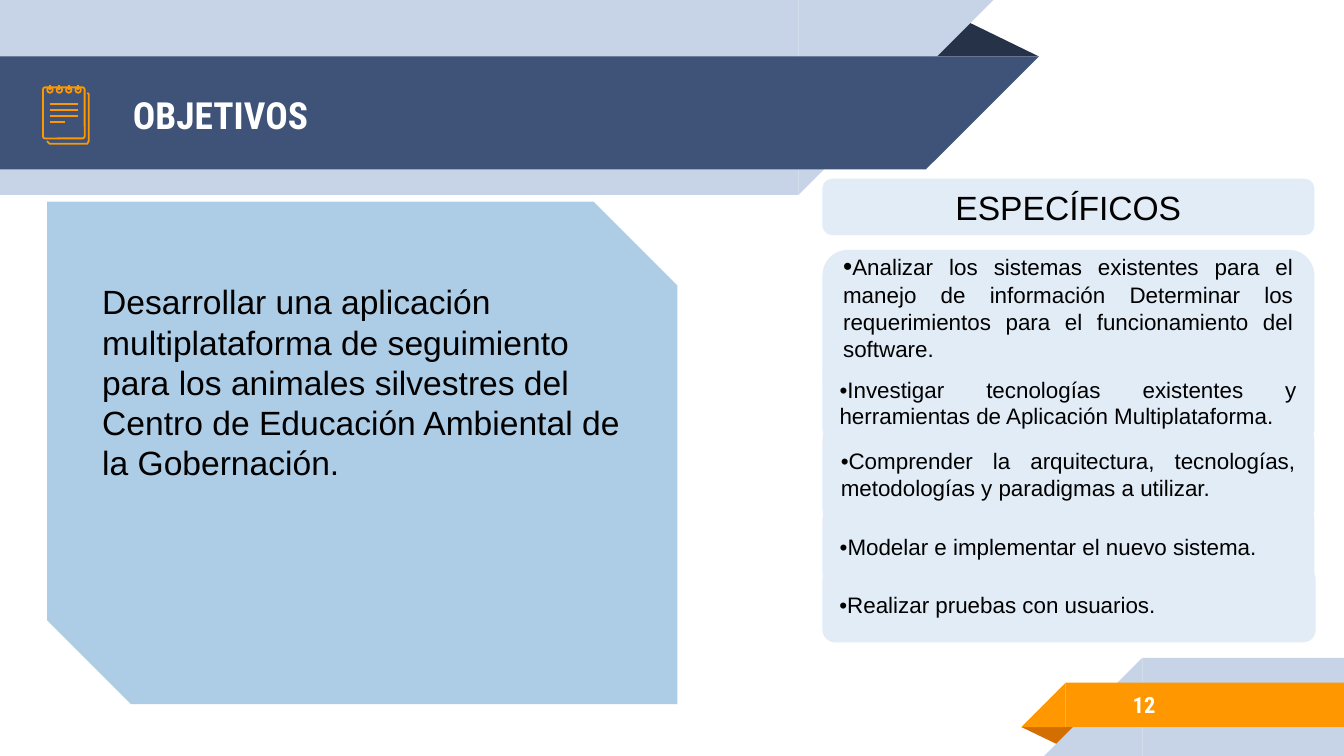
from lxml import etree
from pptx import Presentation
from pptx import util as u
from pptx.dml.color import RGBColor
from pptx.enum import shapes, text
from pptx.oxml.ns import qn

NAVY = RGBColor(0x3F, 0x53, 0x78)
DARK = RGBColor(0x26, 0x32, 0x48)
MIST = RGBColor(0xC7, 0xD3, 0xE6)
ORANGE = RGBColor(0xFF, 0x98, 0x00)
RUST = RGBColor(0xD2, 0x6F, 0x00)
SKY = RGBColor(0xAD, 0xCC, 0xE5)
PALE = RGBColor(0xE2, 0xEC, 0xF6)
WHITE = RGBColor(0xFF, 0xFF, 0xFF)
BLACK = RGBColor(0x00, 0x00, 0x00)

KIND = shapes.MSO_SHAPE
ALIGN = text.PP_ALIGN

deck = Presentation()
deck.slide_width = u.Inches(10)
deck.slide_height = deck.slide_width * 9 // 16
slide = deck.slides.add_slide(deck.slide_layouts[6])

# Grid of 100 columns by 56.25 rows
COL = deck.slide_width / 100
ROW = deck.slide_height / 56.25


def block(kind, left, top, width, height, fill=None, turn=0, flip=False, adj=None):
    """Place a shape on the grid: filled, or outlined in orange when fill is None."""
    shape = slide.shapes.add_shape(kind, round(left * COL), round(top * ROW),
                                   round(width * COL), round(height * ROW))
    shape.shadow.inherit = False
    shape.rotation = turn
    if flip:
        shape._element.spPr.xfrm.set("flipH", "1")
    for i, value in enumerate(adj or []):
        shape.adjustments[i] = value
    if fill is None:
        shape.fill.background()
        shape.line.color.rgb = ORANGE
        shape.line.width = u.Pt(0.96)
    else:
        shape.fill.solid()
        shape.fill.fore_color.rgb = fill
        shape.line.fill.background()
    return shape


def write(shape, words, size, color=BLACK, font="Arial", bold=False, align=ALIGN.LEFT):
    """Fill a shape with one paragraph, centred vertically."""
    frame = shape.text_frame
    frame.word_wrap = True
    frame.vertical_anchor = text.MSO_ANCHOR.MIDDLE
    frame.text = words
    paragraph = frame.paragraphs[0]
    paragraph.alignment = align
    for run in paragraph.runs:
        run.font.size = u.Pt(size)
        run.font.name = font
        run.font.bold = bold
        run.font.color.rgb = color
    return frame


# Header ribbon: each band is a rectangle ending in a slanted tip
block(KIND.ISOSCELES_TRIANGLE, 68.8, 1.4, 8.5, 2.8, DARK, adj=[0.324])
for top, length, height, color in [(0, 59.4, 14.5, MIST), (4.2, 68.9, 8.4, NAVY)]:
    block(KIND.RECTANGLE, 0, top, length, height, color, turn=180, flip=True)
    block(KIND.RIGHT_TRIANGLE, length, top, height, height, color, turn=180, flip=True)

# Footer ribbon
block(KIND.ISOSCELES_TRIANGLE, 76, 54.1, 4.3, 1.4, RUST, turn=180, adj=[0.324])
for left, top, height, color in [(85, 48.95, 7.3, MIST), (79.3, 50.8, 3.3, ORANGE)]:
    block(KIND.RECTANGLE, left, top, 100 - left, height, color, flip=True)
    block(KIND.RIGHT_TRIANGLE, left - height, top, height, height, color, flip=True)

# Title and page number
for left, top, width, height, words, size in [
    (8.9, 4.3, 57.5, 8.4, "OBJETIVOS", 20),
    (83.3, 50.7, 16.3, 3.5, "12", 12),
]:
    box = slide.shapes.add_textbox(round(left * COL), round(top * ROW),
                                   round(width * COL), round(height * ROW))
    frame = write(box, words, size, WHITE, "Roboto Condensed", bold=True)
    frame.margin_top = frame.margin_bottom = round(ROW)

# Notepad icon: rear page edge, front page, rings, then pins and written lines
edge = [(round(x * COL), round(y * ROW)) for x, y in
        [(3.5, 10.5), (3.7, 10.7), (6.5, 10.7), (6.6, 10.5), (6.6, 7), (6.5, 6.9)]]
outline = slide.shapes.build_freeform(*edge[0])
outline.add_line_segments(edge[1:], close=False)
rear_page = outline.convert_to_shape()
rear_page.shadow.inherit = False
rear_page.fill.background()
rear_page.line.color.rgb = ORANGE
rear_page.line.width = u.Pt(0.96)

block(KIND.ROUNDED_RECTANGLE, 3.2, 6.5, 3.1, 3.8, adj=[0.05])
ring_centers = [3.72 + 0.7 * i for i in range(4)]
for x in ring_centers:
    block(KIND.OVAL, x - 0.2, 6.5, 0.4, 0.4)

pins = [(x, 6.3, x, 6.7) for x in ring_centers]
written = [(3.7, 7.75 + 0.45 * i, end, 7.75 + 0.45 * i)
           for i, end in enumerate([5.8, 5.8, 5.8, 4.8])]
for x1, y1, x2, y2 in pins + written:
    stroke = slide.shapes.add_connector(
        shapes.MSO_CONNECTOR.STRAIGHT, round(x1 * COL), round(y1 * ROW),
        round(x2 * COL), round(y2 * ROW))
    stroke.line.color.rgb = ORANGE
    stroke.line.width = u.Pt(0.96)
    etree.SubElement(stroke._element.spPr, qn("a:effectLst"))

# General objective
general = block(KIND.SNIP_2_DIAG_RECTANGLE, 3.5, 15, 46.9, 37.4, SKY, adj=[0, 0.167])
general_frame = write(
    general,
    "Desarrollar una aplicación multiplataforma de seguimiento para los animales "
    "silvestres del Centro de Educación Ambiental de la Gobernación.", 18)
general_frame.vertical_anchor = text.MSO_ANCHOR.TOP
general_frame.margin_top = round(2.8 * ROW)

# Specific objectives
heading = block(KIND.ROUNDED_RECTANGLE, 61.2, 13.3, 36.6, 4.2, PALE, adj=[0.167])
write(heading, "ESPECÍFICOS", 18, align=ALIGN.CENTER)

goals = [
    (37.6, 36.6, 6.1, ALIGN.LEFT, "•Modelar e implementar el nuevo sistema."),
    (31.4, 36.6, 7.8, ALIGN.JUSTIFY, "•Comprender la arquitectura, tecnologías, "
     "metodologías y paradigmas a utilizar."),
    (18.6, 36.6, 11.3, ALIGN.JUSTIFY, "•Analizar los sistemas existentes para el manejo "
     "de información Determinar los requerimientos para el funcionamiento del software."),
    (42.2, 36.7, 5.6, ALIGN.LEFT, "•Realizar pruebas con usuarios."),
    (27, 36.6, 5.9, ALIGN.JUSTIFY, "•Investigar tecnologías existentes y herramientas "
     "de Aplicación Multiplataforma."),
]
for top, width, height, align, words in goals:
    goal = block(KIND.FLOWCHART_ALTERNATE_PROCESS, 61.2, top, width, height, PALE)
    frame = write(goal, words, 12, align=align)
    if height > 10:  # the tallest goal sits high and has a larger bullet
        frame.margin_top, frame.margin_bottom = 0, round(3 * ROW)
        paragraph = frame.paragraphs[0]
        paragraph.runs[0].text = words[1:]
        bullet = paragraph.add_run()
        bullet.text = words[0]
        bullet.font.size = u.Pt(14)
        bullet.font.name = "Arial"
        bullet.font.color.rgb = BLACK
        paragraph.runs[0]._r.addprevious(bullet._r)

deck.save("out.pptx")
